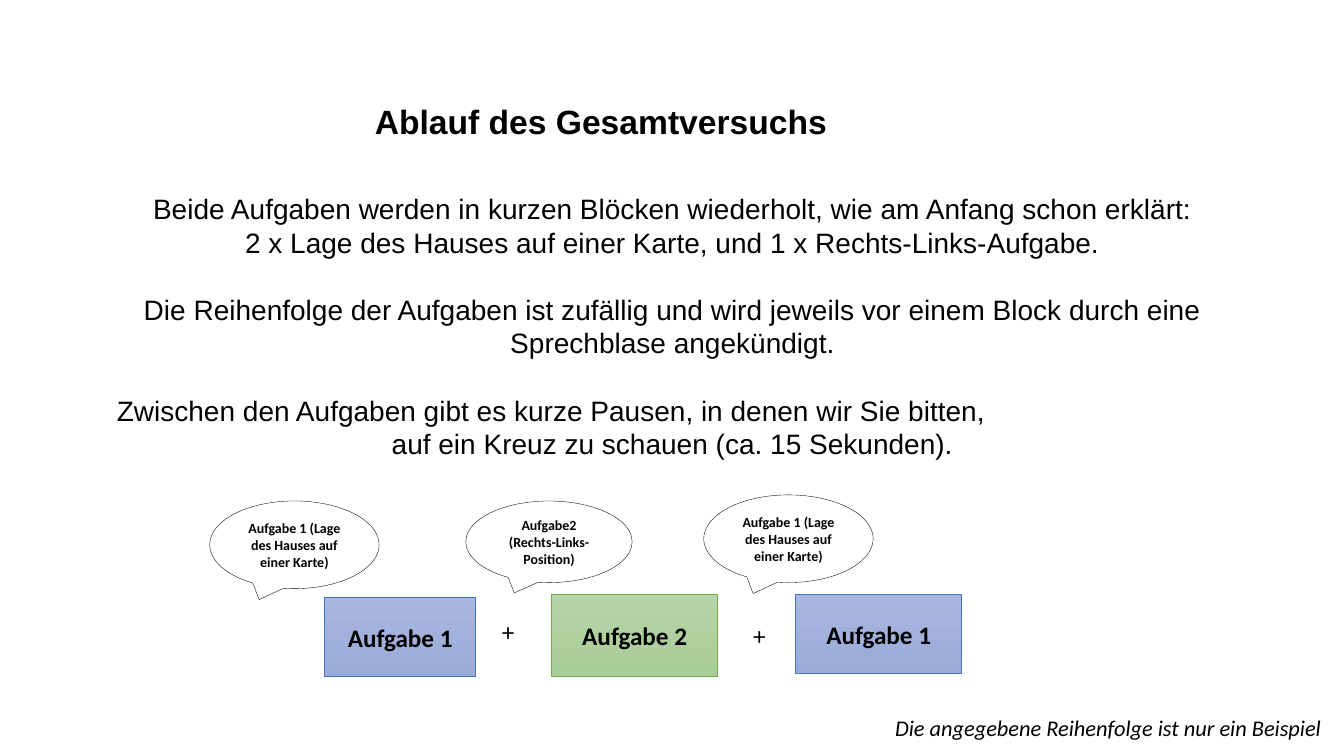
import pptx
import pptx.util
import pptx.dml.color
import pptx.enum.shapes
import pptx.enum.text

Inches = pptx.util.Inches
Pt = pptx.util.Pt
Shape = pptx.enum.shapes.MSO_SHAPE
Align = pptx.enum.text.PP_ALIGN
Anchor = pptx.enum.text.MSO_ANCHOR

BLUE = ("A8B7DF", "9AABD9", "4472C4")
GREEN = ("B5D4A7", "A9CD99", "70AD47")


def color(value):
    return pptx.dml.color.RGBColor.from_string(value)


def write(para, text, size, font="Calibri", bold=False, italic=False,
          align=Align.CENTER):
    para.text = text
    para.alignment = align
    for span in para.runs:
        span.font.name = font
        span.font.size = Pt(size)
        span.font.bold = bold
        span.font.italic = italic
        span.font.color.rgb = color("000000")


def add_title(page, box, text):
    title = page.shapes.title
    title.left, title.top, title.width, title.height = map(Inches, box)
    frame = title.text_frame
    frame.word_wrap = True
    frame.vertical_anchor = Anchor.MIDDLE
    write(frame.paragraphs[0], text, 24, font="Arial", bold=True)


def add_explanation(page, box, entries):
    frame = page.shapes.add_textbox(*map(Inches, box)).text_frame
    frame.word_wrap = True
    for index, (text, align, indent, gap) in enumerate(entries):
        para = frame.add_paragraph() if index else frame.paragraphs[0]
        write(para, text, 20, font="Arial", align=align)
        para.line_spacing = Pt(24)
        para.space_before = Pt(gap)
        if indent:
            para._p.get_or_add_pPr().set("marL", str(Inches(indent)))


def add_label(page, box, text, size, italic=False, wrap=True):
    frame = page.shapes.add_textbox(*map(Inches, box)).text_frame
    frame.word_wrap = wrap
    write(frame.paragraphs[0], text, size, italic=italic, align=Align.LEFT)


def add_figure(page, kind, box, text, size, outline, width):
    figure = page.shapes.add_shape(kind, *map(Inches, box))
    figure.shadow.inherit = False
    figure.line.color.rgb = color(outline)
    figure.line.width = Pt(width)
    frame = figure.text_frame
    frame.word_wrap = True
    frame.vertical_anchor = Anchor.MIDDLE
    write(frame.paragraphs[0], text, size, bold=True)
    return figure


def add_task(page, box, text, palette):
    start, end, outline = palette
    task = add_figure(page, Shape.RECTANGLE, box, text, 18, outline, 0.5)
    task.fill.gradient()
    task.fill.gradient_angle = 270
    for stop, shade, position in zip(task.fill.gradient_stops, (start, end), (0, 1)):
        stop.color.rgb = color(shade)
        stop.position = position


def add_bubble(page, box, text):
    bubble = add_figure(page, Shape.OVAL_CALLOUT, box, text, 10, "000000", 0.25)
    bubble.fill.solid()
    bubble.fill.fore_color.rgb = color("FFFFFF")


def add_sequence(page, left, top):
    location = "Aufgabe 1 (Lage des Hauses auf einer Karte)"
    for x, y, width, height, text, palette in (
        (1.14, 1.02, 1.5, 0.78, "Aufgabe 1", BLUE),
        (3.39, 0.99, 1.65, 0.81, "Aufgabe 2", GREEN),
        (5.81, 0.99, 1.65, 0.78, "Aufgabe 1", BLUE),
    ):
        add_task(page, (left + x, top + y, width, height), text, palette)
    for x, y in ((2.8, 1.16), (5.29, 1.2)):
        add_label(page, (left + x, top + y, 0.31, 0.4), "+", 18)
    for x, y, width, height, text in (
        (0, 0.06, 1.68, 0.87, location),
        (2.54, 0.06, 1.65, 0.81, "Aufgabe2 (Rechts-Links-Position)"),
        (4.9, 0, 1.68, 0.87, location),
    ):
        add_bubble(page, (left + x, top + y, width, height), text)


def main():
    deck = pptx.Presentation()
    deck.slide_width = Inches(13.33)
    deck.slide_height = Inches(7.5)
    page = deck.slides.add_slide(deck.slide_layouts[5])
    add_title(page, (0.81, 0.95, 10.3, 0.5), "Ablauf des Gesamtversuchs")
    add_explanation(page, (0.92, 1.85, 11.5, 2.9), (
        ("Beide Aufgaben werden in kurzen Blöcken wiederholt, wie am Anfang schon "
         "erklärt:\v2 x Lage des Hauses auf einer Karte, und 1 x Rechts-Links-Aufgabe.",
         Align.CENTER, 0, 0),
        ("Die Reihenfolge der Aufgaben ist zufällig und wird jeweils vor einem Block "
         "durch eine Sprechblase angekündigt.", Align.CENTER, 0, 24),
        ("Zwischen den Aufgaben gibt es kurze Pausen, in denen wir Sie bitten,",
         Align.LEFT, 0.14, 24),
        ("auf ein Kreuz zu schauen (ca. 15 Sekunden).", Align.CENTER, 0, 0),
    ))
    add_sequence(page, 2.08, 4.91)
    add_label(page, (8.78, 7.04, 4.64, 0.37),
              "Die angegebene Reihenfolge ist nur ein Beispiel", 16,
              italic=True, wrap=False)
    deck.save("out.pptx")


if __name__ == "__main__":
    main()
